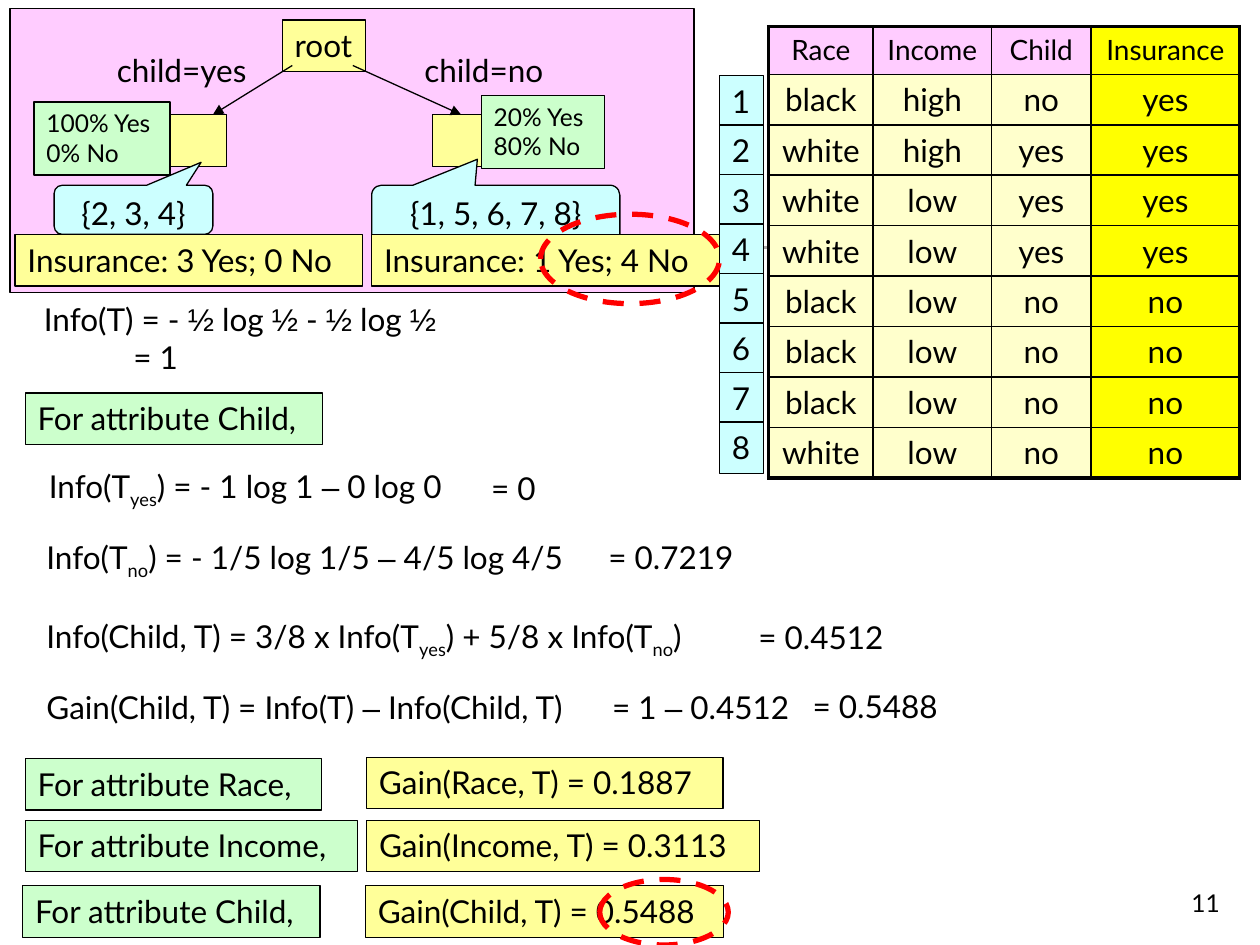
import itertools
import pptx
import pptx.dml.color
import pptx.enum.dml
import pptx.enum.shapes
import pptx.enum.text
import pptx.oxml.ns
import pptx.util
from lxml import etree

Inches = pptx.util.Inches
Pt = pptx.util.Pt
RGB = pptx.dml.color.RGBColor.from_string
SHAPE = pptx.enum.shapes.MSO_SHAPE
ALIGN = pptx.enum.text.PP_ALIGN
ANCHOR = pptx.enum.text.MSO_ANCHOR
qn = pptx.oxml.ns.qn

C = {"black": "000000", "pink": "FFCCFF", "green": "CCFFCC", "yellow": "FFFF99",
     "blue": "CCFFFF", "cream": "FFFFCC", "bright": "FFFF00", "red": "FF0000",
     "dark": "1C1C1C", "white": "FFFFFF"}

prs = pptx.Presentation()
prs.slide_width, prs.slide_height = Inches(10), Inches(7.5)
s = prs.slides.add_slide(prs.slide_layouts[6])


def write(tf, text, size=18, align=ALIGN.LEFT, anchor=ANCHOR.TOP):
    tf.word_wrap = True
    tf.vertical_anchor = anchor
    for i, line in enumerate(text.split("\n")):
        p = tf.add_paragraph() if i else tf.paragraphs[0]
        p.alignment = align
        p.font.name, p.font.size = "Lato", Pt(size)
        p.font.color.rgb = RGB(C["black"])
        for j, part in enumerate(line.split("~")):
            for symbol, chars in itertools.groupby(part, lambda c: c in "½–"):
                r = p.add_run()
                r.text = "".join(chars)
                if symbol:
                    r.font.name = "Arial"
                if j % 2:
                    r.font._element.set("baseline", "-25000")


def box(at, fill=None, text="", kind=SHAPE.RECTANGLE, line="black", width=0.75, **style):
    sp = s.shapes.add_shape(kind, *map(Inches, at))
    sp.shadow.inherit = False
    if fill:
        sp.fill.solid()
        sp.fill.fore_color.rgb = RGB(C[fill])
    else:
        sp.fill.background()
    sp.line.color.rgb = RGB(C[line])
    sp.line.width = Pt(width)
    if text:
        write(sp.text_frame, text, **style)
    return sp


rule = box((0.48, 1.95, 9, 0.03), "dark")
rule.line.fill.background()
rule.fill.gradient()
rule.fill.gradient_angle = 0
for stop, name in zip(rule.fill.gradient_stops, ("dark", "white")):
    stop.color.rgb = RGB(C[name])

rows = ["Race Income Child Insurance", "black high no yes", "white high yes yes",
        "white low yes yes", "white low yes yes", "black low no no",
        "black low no no", "black low no no", "white low no no"]
widths = [0.83, 0.94, 0.79, 1.18]
frame = s.shapes.add_table(len(rows), len(widths), Inches(6.1), Inches(0.21),
                           Inches(3.74), Inches(3.58))
table = frame.table
table.first_row = table.horz_banding = False
for col, w in zip(table.columns, widths):
    col.width = Inches(w)
for i, row in enumerate(rows):
    table.rows[i].height = Inches(0.4 if i else 0.38)
    for j, word in enumerate(row.split()):
        cell = table.cell(i, j)
        write(cell.text_frame, word, 18 if i else 16, ALIGN.CENTER)
        tcPr = cell._tc.get_or_add_tcPr()
        outer = {"L": j == 0, "R": j == len(widths) - 1, "T": i == 0, "B": i == len(rows) - 1}
        for side, thick in outer.items():
            ln = etree.SubElement(tcPr, qn("a:ln" + side), w=str(Pt(2.25 if thick else 1)))
            fill = etree.SubElement(ln, qn("a:solidFill"))
            etree.SubElement(fill, qn("a:srgbClr"), val=C["black"])
        cell.fill.solid()
        name = "bright" if j == 3 else "cream" if i else "pink"
        cell.fill.fore_color.rgb = RGB(C[name])

for i in range(8):
    box((5.71, 0.6 + 2.75 * i / 7, 0.35, 0.41), "blue", str(i + 1))

box((0.08, 0.07, 5.43, 2.25), "pink")
box((2.24, 0.16, 0.66, 0.41), "yellow", "root")
for x in (1.35, 3.43):
    box((x, 0.91, 0.45, 0.41), "yellow")
for x1, x2 in ((2.32, 1.69), (2.8, 3.66)):
    arrow = s.shapes.add_connector(pptx.enum.shapes.MSO_CONNECTOR.STRAIGHT,
                                   Inches(x1), Inches(0.52), Inches(x2), Inches(0.91))
    arrow.line.color.rgb = RGB(C["black"])
    arrow.line.width = Pt(0.75)
    etree.SubElement(arrow.line._get_or_add_ln(), qn("a:tailEnd"), type="triangle")
    etree.SubElement(arrow._element.spPr, qn("a:effectLst"))

texts = [
    (0.83, 0.36, 1.26, "child=yes"),
    (3.27, 0.36, 1.16, "child=no"),
    (0.25, 2.33, 3.55, "Info(T) = - ½ log ½ - ½ log ½\n= 1"),
    (0.29, 3.66, 3.64, "Info(T~yes~) = - 1 log 1 – 0 log 0"),
    (3.8, 3.67, 0.6, "= 0"),
    (0.27, 4.22, 4.58, "Info(T~no~) = - 1/5 log 1/5 – 4/5 log 4/5"),
    (4.73, 4.22, 1.22, "= 0.7219"),
    (0.27, 4.85, 5.74, "Info(Child, T) = 3/8 x Info(T~yes~) + 5/8 x Info(T~no~)"),
    (5.92, 4.86, 1.22, "= 0.4512"),
    (0.27, 5.41, 4.63, "Gain(Child, T) = Info(T) – Info(Child, T)"),
    (4.76, 5.41, 1.66, "= 1 – 0.4512"),
    (6.35, 5.4, 1.22, "= 0.5488"),
]
for x, y, w, text in texts:
    lines = text.count("\n") + 1
    tb = s.shapes.add_textbox(Inches(x), Inches(y), Inches(w), Inches(0.1 + 0.3 * lines))
    write(tb.text_frame, text)
    for p in tb.text_frame.paragraphs[1:]:
        p._p.get_or_add_pPr().set("marL", str(Inches(0.71)))

number = s.shapes.add_textbox(Inches(7.7), Inches(6.83), Inches(2.08), Inches(0.5))
write(number.text_frame, "11", 14, ALIGN.RIGHT, ANCHOR.BOTTOM)

callouts = [((0.43, 1.47, 1.26, 0.39), "{2, 3, 4}", (0.426, -0.967, 0.167)),
            ((2.95, 1.47, 1.97, 0.47), "{1, 5, 6, 7, 8}", (-0.074, -0.938, 0.167))]
for at, text, adjustments in callouts:
    sp = box(at, "blue", text, SHAPE.ROUNDED_RECTANGULAR_CALLOUT, align=ALIGN.CENTER)
    for i, value in enumerate(adjustments):
        sp.adjustments[i] = value

labels = [
    (0.2, 3.12, 2.36, "green", "For attribute Child,"),
    (0.2, 6.02, 2.35, "green", "For attribute Race,"),
    (0.2, 6.51, 2.64, "green", "For attribute Income,"),
    (0.18, 7.03, 2.36, "green", "For attribute Child,"),
    (2.91, 6.01, 2.83, "yellow", "Gain(Race, T) = 0.1887"),
    (2.91, 6.51, 3.12, "yellow", "Gain(Income, T) = 0.3113"),
    (2.9, 7.03, 2.84, "yellow", "Gain(Child, T) = 0.5488"),
    (0.12, 1.86, 2.76, "yellow", "Insurance: 3 Yes; 0 No"),
    (2.95, 1.86, 2.76, "yellow", "Insurance: 1 Yes; 4 No"),
]
for x, y, w, fill, text in labels:
    box((x, y, w, 0.41), fill, text)

box((0.27, 0.81, 1.08, 0.58), "green", "100% Yes\n0% No", size=14)
box((3.82, 0.76, 0.98, 0.58), "green", "20% Yes\n80% No", size=14)

for at in ((4.29, 1.7, 1.42, 0.71), (4.76, 6.98, 1.02, 0.52)):
    ring = box(at, kind=SHAPE.OVAL, line="red", width=3)
    ring.line.dash_style = pptx.enum.dml.MSO_LINE.DASH

prs.save("out.pptx")
